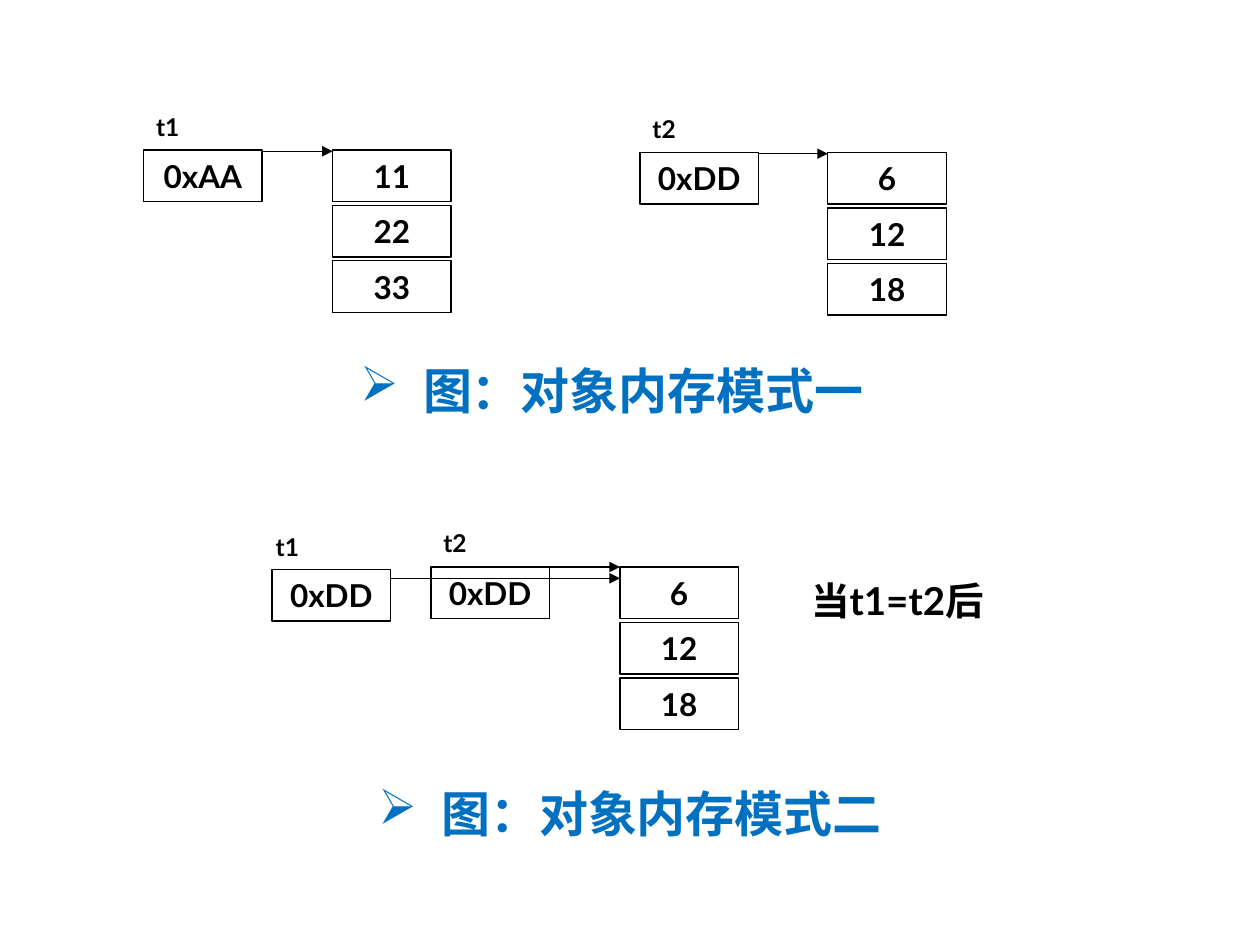
from lxml import etree
from pptx import Presentation
from pptx import util as u
from pptx.dml.color import RGBColor
from pptx.enum import shapes, text
from pptx.oxml import ns

BLACK = RGBColor(0x00, 0x00, 0x00)
BLUE = RGBColor(0x00, 0x70, 0xC0)
BOX_W, BOX_H, PITCH = 0.94, 0.41, 0.44
LABEL_W, LABEL_H = 0.47, 0.33


def write(sp, words, size, color=BLACK, align=text.PP_ALIGN.CENTER, bullet=None):
    tf = sp.text_frame
    tf.word_wrap = True
    p = tf.paragraphs[0]
    p.alignment = align
    if bullet:
        pPr = p._p.get_or_add_pPr()
        pPr.set("marL", str(u.Inches(0.5)))
        pPr.set("indent", str(u.Inches(-0.5)))
        etree.SubElement(pPr, ns.qn("a:buChar")).set("char", bullet)
    r = p.add_run()
    r.text = words
    for name, value in {"name": "Lato", "size": u.Pt(size), "bold": True}.items():
        setattr(r.font, name, value)
    r.font.color.rgb = color
    return p


prs = Presentation()
prs.slide_width, prs.slide_height = u.Inches(10), u.Inches(7.5)
s = prs.slides.add_slide(prs.slide_layouts[6])

diagrams = [
    {"refs": [("t1", "0xAA", 1.14, 1.19, 1.14, 0.84, 1.2)],
     "cells": (2.64, 1.19, ["11", "22", "33"])},
    {"refs": [("t2", "0xDD", 5.08, 1.21, 5.08, 0.86, 1.22)],
     "cells": (6.57, 1.21, ["6", "12", "18"])},
    {"refs": [("t1", "0xDD", 2.16, 4.52, 2.09, 4.17, 4.59),
              ("t2", "0xDD", 3.42, 4.5, 3.42, 4.14, 4.5)],
     "cells": (4.92, 4.5, ["6", "12", "18"])},
]

for diagram in diagrams:
    group = s.shapes.add_group_shape().shapes
    cell_x, cell_y, values = diagram["cells"]
    boxes = [(address, x, y) for _, address, x, y, *_ in diagram["refs"]]
    boxes += [(value, cell_x, cell_y + i * PITCH) for i, value in enumerate(values)]
    for words, x, y in boxes:
        sp = group.add_shape(shapes.MSO_SHAPE.RECTANGLE, u.Inches(x), u.Inches(y),
                             u.Inches(BOX_W), u.Inches(BOX_H))
        sp.shadow.inherit = False
        sp.fill.background()
        sp.line.color.rgb = BLACK
        sp.line.width = u.Pt(0.75)
        write(sp, words, 18)
    for name, _, x, _, label_x, label_y, arrow_y in diagram["refs"]:
        label = group.add_textbox(u.Inches(label_x), u.Inches(label_y),
                                  u.Inches(LABEL_W), u.Inches(LABEL_H))
        write(label, name, 14, align=text.PP_ALIGN.LEFT)
        arrow = group.add_connector(shapes.MSO_CONNECTOR.STRAIGHT,
                                    u.Inches(x + BOX_W), u.Inches(arrow_y),
                                    u.Inches(cell_x), u.Inches(arrow_y))
        arrow.line.color.rgb = BLACK
        arrow.line.width = u.Pt(0.75)
        etree.SubElement(arrow.line._get_or_add_ln(), ns.qn("a:tailEnd")).set("type", "triangle")
        etree.SubElement(arrow._element.spPr, ns.qn("a:effectLst"))

captions = [("图：对象内存模式一", 2.65, 2.81, 4.41), ("图：对象内存模式二", 2.48, 6.17, 5.04)]
for words, x, y, w in captions:
    caption = s.shapes.add_textbox(u.Inches(x), u.Inches(y), u.Inches(w), u.Inches(0.57))
    write(caption, words, 28, BLUE, bullet="➢")

note = s.shapes.add_textbox(u.Inches(6.34), u.Inches(4.57), u.Inches(2.84), u.Inches(0.43))
p = write(note, "当t1=t2后", 22, align=text.PP_ALIGN.LEFT)
p.line_spacing = 0.9

prs.save("out.pptx")
